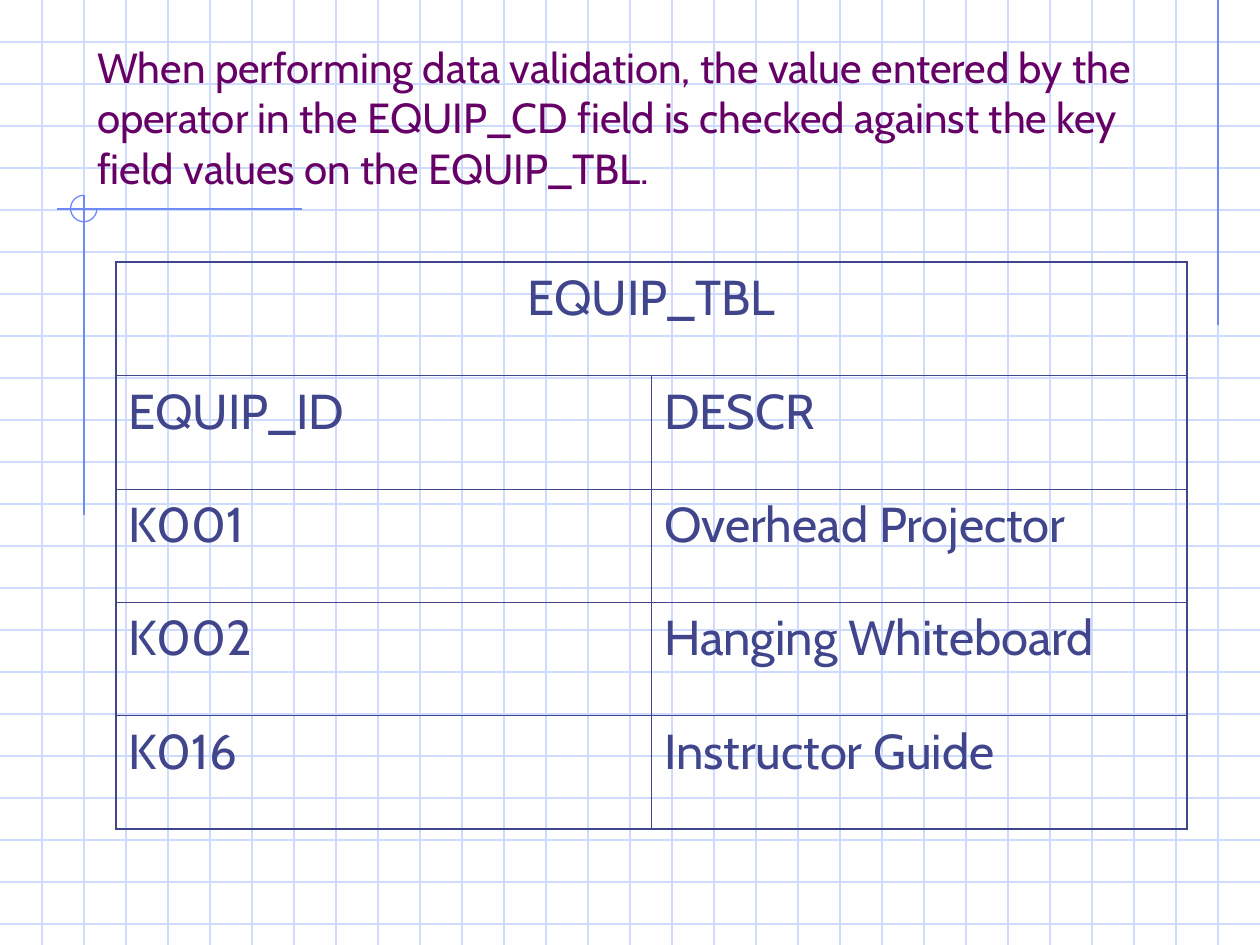
import pptx
import pptx.util
import pptx.dml.color
import pptx.enum.shapes
import pptx.enum.text
import pptx.oxml
import pptx.oxml.ns

Inch = pptx.util.Inches
Pt = pptx.util.Pt
Align = pptx.enum.text.PP_ALIGN
Anchor = pptx.enum.text.MSO_ANCHOR

HEAD = ("When performing data validation, the value entered by the operator "
        "in the EQUIP_CD field is checked against the key field values on "
        "the EQUIP_TBL.")
ROWS = [
    ("EQUIP_TBL", ""),
    ("EQUIP_ID", "DESCR"),
    ("K001", "Overhead Projector"),
    ("K002", "Hanging Whiteboard"),
    ("K016", "Instructor Guide"),
]
FONT, PLUM, NAVY, PALE, BLUE = "Cabin", "660066", "40458C", "CFDBFD", "6F89F7"
WIDE, HIGH, STEP = 10, 7.5, 1 / 3
THIN, THICK = 0.45, 1.08
ACCENTS = [
    (29 * STEP, 0, 29 * STEP, 2.58),
    (2.4, 1.66, 0.45, 1.66),
    (2 * STEP, 1.55, 2 * STEP, 4.09),
]


def color(code):
    return pptx.dml.color.RGBColor.from_string(code)


def style(item, values):
    for name, value in values.items():
        setattr(item, name, value)


def rule(ends, code):
    line = slide.shapes.add_connector(
        pptx.enum.shapes.MSO_CONNECTOR.STRAIGHT, *[Inch(n) for n in ends])
    line.line.color.rgb = color(code)
    line.line.width = Pt(0.74)
    line._element.spPr.append(pptx.oxml.parse_xml(
        f"<a:effectLst {pptx.oxml.ns.nsdecls('a')}/>"))


def write(frame, text, size, code, **form):
    frame.text = text
    part = frame.paragraphs[0]
    style(part, form)
    style(part.font, {"size": Pt(size), "name": FONT, "bold": False})
    part.font.color.rgb = color(code)


def border(cell, sides):
    props = cell._tc.get_or_add_tcPr()
    for side, width in sides.items():
        props.append(pptx.oxml.parse_xml(
            f"<a:ln{side} {pptx.oxml.ns.nsdecls('a')} w='{int(Pt(width))}'>"
            f"<a:solidFill><a:srgbClr val='{NAVY}'/></a:solidFill>"
            f"</a:ln{side}>"))


deck = pptx.Presentation()
style(deck, {"slide_width": Inch(WIDE), "slide_height": Inch(HIGH)})
slide = deck.slides.add_slide(deck.slide_layouts[5])
slide.background.fill.solid()
slide.background.fill.fore_color.rgb = color("FFFFFF")

for n in range(1, int(HIGH / STEP) + 1):
    rule((0, n * STEP, WIDE, n * STEP), PALE)
for n in range(1, int(WIDE / STEP)):
    rule((n * STEP, 0, n * STEP, HIGH), PALE)
for ends in ACCENTS:
    rule(ends, BLUE)

arc = slide.shapes.add_shape(
    pptx.enum.shapes.MSO_SHAPE.ARC,
    Inch(0.56), Inch(1.55), Inch(0.21), Inch(0.21))
arc.adjustments[0] = 0
arc.adjustments[1] = 162
arc.shadow.inherit = False
arc.fill.background()
arc.line.color.rgb = color(BLUE)
arc.line.width = Pt(0.74)

title = slide.shapes.title
slide.shapes._spTree.append(title._element)
style(title, {"left": Inch(0.67), "top": Inch(0.33),
              "width": Inch(8.5), "height": Inch(1.25)})
write(title.text_frame, HEAD, 24, PLUM, alignment=Align.LEFT)
style(title.text_frame, {"vertical_anchor": Anchor.BOTTOM, "word_wrap": True,
                         "auto_size": pptx.enum.text.MSO_AUTO_SIZE.NONE})

table = slide.shapes.add_table(
    len(ROWS), 2, Inch(0.92), Inch(2.08), Inch(8.5), Inch(4.5)).table
style(table, {"first_row": False, "horz_banding": False})
table.cell(0, 0).merge(table.cell(0, 1))
last = len(ROWS) - 1
for r, row in enumerate(ROWS):
    for c, text in enumerate(row):
        cell = table.cell(r, c)
        border(cell, {"L": THIN if c else THICK,
                      "R": THICK if c or r == 0 else THIN,
                      "T": THIN if r else THICK,
                      "B": THICK if r == last else THIN})
        cell.fill.background()
        if text:
            write(cell.text_frame, text, 28, NAVY, space_before=Pt(7),
                  alignment=Align.LEFT if r else Align.CENTER)

deck.save("out.pptx")
